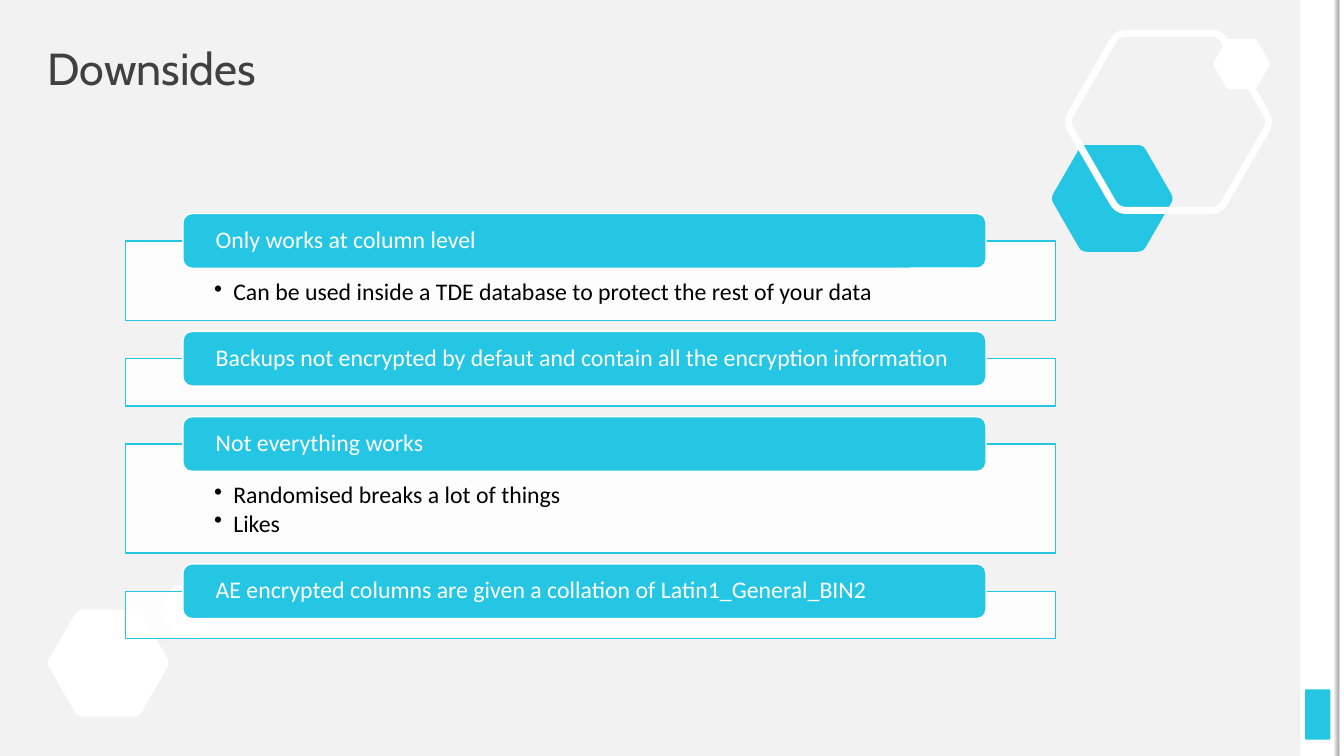
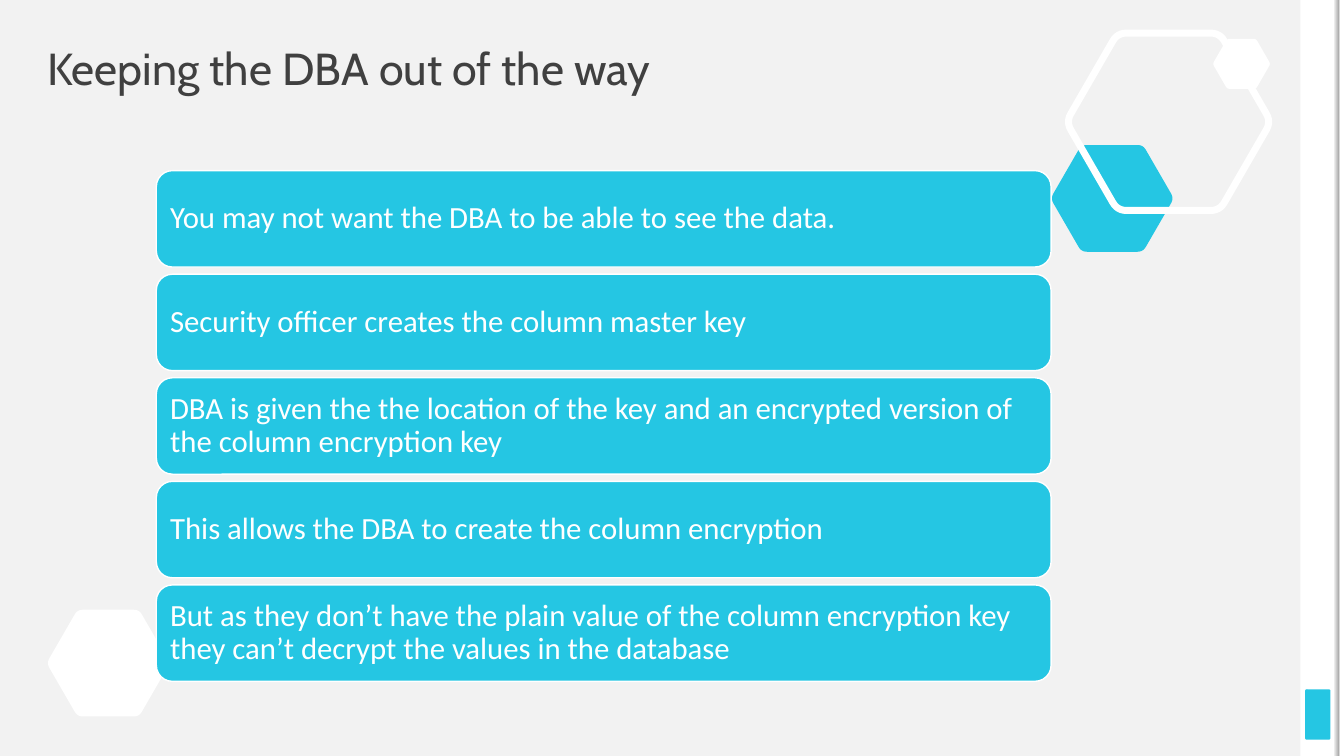
import math
from dataclasses import dataclass

import lxml.etree
import pptx
import pptx.dml.color
import pptx.dml.fill
import pptx.enum.shapes
import pptx.enum.text
import pptx.oxml.ns
import pptx.presentation
import pptx.shapes.autoshape
import pptx.shapes.base
import pptx.slide
import pptx.util

Cm = pptx.util.Cm
Pt = pptx.util.Pt
RECTANGLE = pptx.enum.shapes.MSO_SHAPE.RECTANGLE
ROUNDED = pptx.enum.shapes.MSO_SHAPE.ROUNDED_RECTANGLE
TOP = pptx.enum.text.MSO_ANCHOR.TOP
MIDDLE = pptx.enum.text.MSO_ANCHOR.MIDDLE

SLIDE_WIDTH, SLIDE_HEIGHT = 33.87, 19.05
BACKGROUND, ACCENT, WHITE = "F2F2F2", "25C6E3", "FFFFFF"
TITLE_COLOR, BODY_COLOR, EDGE_SHADE = "404040", "000000", "A6A6A6"
TITLE_FONT, BODY_FONT = "Cabin", "Calibri"


@dataclass(frozen=True)
class Box:
    """A rectangle in centimetres."""
    left: float
    top: float
    width: float
    height: float

    def lengths(self) -> list[pptx.util.Length]:
        return [Cm(value) for value in (self.left, self.top, self.width, self.height)]


@dataclass(frozen=True)
class Hexagon:
    """A flat-topped hexagon, by centre and height in centimetres."""
    center_x: float
    center_y: float
    height: float
    fill: str | None = WHITE
    line: str | None = None


@dataclass(frozen=True)
class Topic:
    heading: str
    height: float
    bullets: tuple[str, ...] = ()


HEXAGONS = (
    Hexagon(2.73, 16.71, 2.69),
    Hexagon(28.03, 5, 2.69, fill=ACCENT),
    Hexagon(29.45, 3.07, 4.47, fill=None, line=WHITE),
    Hexagon(4.75, 15.37, 1.26),
    Hexagon(31.29, 1.61, 1.26),
)

TOPICS = (
    Topic("Only works at column level", 2.01,
          ("Can be used inside a TDE database to protect the rest of your data",)),
    Topic("Backups not encrypted by defaut and contain all the encryption information", 1.19),
    Topic("Not everything works", 2.75, ("Randomised breaks a lot of things", "Likes")),
    Topic("AE encrypted columns are given a collation of Latin1_General_BIN2", 1.19),
)

STATEMENTS = (
    "You may not want the DBA to be able to see the data.",
    "Security officer creates the column master key",
    "DBA is given the the location of the key and an encrypted version of "
    "the column encryption key",
    "This allows the DBA to create the column encryption",
    "But as they don’t have the plain value of the column encryption key "
    "they can’t decrypt the values in the database",
)


def color(value: str) -> pptx.dml.color.RGBColor:
    return pptx.dml.color.RGBColor.from_string(value)


def set_fill(fill: pptx.dml.fill.FillFormat, value: str | None) -> None:
    if value is None:
        fill.background()
    else:
        fill.solid()
        fill.fore_color.rgb = color(value)


def style_shape(shape: pptx.shapes.autoshape.Shape, fill: str | None,
                line: str | None = None, line_width: float = 1) -> None:
    shape.shadow.inherit = False
    set_fill(shape.fill, fill)
    set_fill(shape.line.fill, line)
    if line is not None:
        shape.line.width = Pt(line_width)


def add_box(slide: pptx.slide.Slide, kind: pptx.enum.shapes.MSO_SHAPE, box: Box,
            fill: str, line: str | None = None) -> pptx.shapes.autoshape.Shape:
    shape = slide.shapes.add_shape(kind, *box.lengths())
    style_shape(shape, fill, line)
    return shape


def set_opacity(shape: pptx.shapes.autoshape.Shape, percent: int) -> None:
    fill_color = shape._element.spPr.find(
        f"{pptx.oxml.ns.qn('a:solidFill')}/{pptx.oxml.ns.qn('a:srgbClr')}")
    lxml.etree.SubElement(fill_color, pptx.oxml.ns.qn("a:alpha"), val=str(percent * 1000))


def set_text(shape: pptx.shapes.autoshape.Shape, *lines: str, size: float,
             font: str = BODY_FONT, text_color: str = WHITE,
             anchor: pptx.enum.text.MSO_ANCHOR = MIDDLE,
             margins: tuple[float, float, float, float] = (0, 0, 0, 0),
             space_after: float = 0, bulleted: bool = False) -> None:
    """Fill a shape with one paragraph a line; margins run left, top, right, bottom."""
    frame = shape.text_frame
    frame.word_wrap = True
    frame.vertical_anchor = anchor
    (frame.margin_left, frame.margin_top,
     frame.margin_right, frame.margin_bottom) = map(Cm, margins)
    for index, line in enumerate(lines):
        paragraph = frame.add_paragraph() if index else frame.paragraphs[0]
        paragraph.alignment = pptx.enum.text.PP_ALIGN.LEFT
        paragraph.line_spacing = 0.9
        paragraph.space_after = Pt(space_after)
        if bulleted:
            properties = paragraph._p.get_or_add_pPr()
            properties.set("marL", str(Cm(0.48)))
            properties.set("indent", str(-Cm(0.48)))
            lxml.etree.SubElement(properties, pptx.oxml.ns.qn("a:buChar"), char="•")
        run = paragraph.add_run()
        run.text = line
        run.font.name = font
        run.font.size = Pt(size)
        run.font.color.rgb = color(text_color)


def add_hexagon(slide: pptx.slide.Slide, hexagon: Hexagon) -> None:
    """Draw a hexagon whose corners are rounded with quadratic curves."""
    radius = hexagon.height / math.sqrt(3)
    cut, steps = 0.09, 6
    corners = [(hexagon.center_x + radius * math.cos(math.radians(60 * index)),
                hexagon.center_y + radius * math.sin(math.radians(60 * index)))
               for index in range(6)]
    points = []
    for index, corner in enumerate(corners):
        before, after = corners[index - 1], corners[(index + 1) % 6]
        for step in range(steps + 1):
            t = step / steps
            toward_before, toward_after = cut * (1 - t) ** 2, cut * t ** 2
            points.append(tuple(
                Cm(c + toward_before * (b - c) + toward_after * (a - c))
                for b, c, a in zip(before, corner, after)))
    builder = slide.shapes.build_freeform(*points[0])
    builder.add_line_segments(points[1:], close=True)
    style_shape(builder.convert_to_shape(), hexagon.fill, hexagon.line, line_width=5)


def add_right_band(slide: pptx.slide.Slide) -> None:
    add_box(slide, RECTANGLE, Box(32.77, 0, 0.99, SLIDE_HEIGHT), WHITE)
    marker = add_box(slide, ROUNDED, Box(32.89, 17.37, 0.64, 1.27), ACCENT)
    marker.adjustments[0] = 0.07
    add_box(slide, RECTANGLE, Box(33.74, 0, 0.13, SLIDE_HEIGHT), WHITE)
    edge = add_box(slide, RECTANGLE, Box(33.62, 0, 0.13, SLIDE_HEIGHT), WHITE)
    edge.fill.gradient()
    edge.fill.gradient_angle = 0
    for stop, shade in zip(edge.fill.gradient_stops, (BACKGROUND, EDGE_SHADE)):
        stop.color.rgb = color(shade)


def add_slide(presentation: pptx.presentation.Presentation, title: str) -> pptx.slide.Slide:
    """Add a slide with the shared background, decoration and title."""
    slide = presentation.slides.add_slide(presentation.slide_layouts[6])
    set_fill(slide.background.fill, BACKGROUND)
    add_right_band(slide)
    for hexagon in HEXAGONS:
        add_hexagon(slide, hexagon)
    title_box = slide.shapes.add_textbox(*Box(1.2, 1.2, 31.47, 1.2).lengths())
    set_text(title_box, title, size=32, font=TITLE_FONT, text_color=TITLE_COLOR)
    return slide


def add_topics(slide: pptx.slide.Slide) -> None:
    top, gap, tab_rise = 6.07, 0.96, 0.69
    for topic in TOPICS:
        panel = add_box(slide, RECTANGLE, Box(3.16, top, 23.44, topic.height), WHITE, ACCENT)
        set_opacity(panel, 90)
        if topic.bullets:
            set_text(panel, *topic.bullets, size=17, text_color=BODY_COLOR, anchor=TOP,
                     margins=(2.24, 0.99, 2.24, 0.33), space_after=2, bulleted=True)
        tab = add_box(slide, ROUNDED, Box(4.61, top - tab_rise, 20.24, 1.38), ACCENT, WHITE)
        set_text(tab, topic.heading, size=17, margins=(0.76, 0, 0.76, 0))
        top += topic.height + gap


def add_statements(slide: pptx.slide.Slide) -> None:
    first_top, pitch = 4.3, 2.61
    for index, statement in enumerate(STATEMENTS):
        box = Box(3.94, first_top + index * pitch, 22.55, 2.43)
        panel = add_box(slide, ROUNDED, box, ACCENT, WHITE)
        set_text(panel, statement, size=22, margins=(0.23, 0.23, 0.23, 0.23))


def main() -> None:
    presentation = pptx.Presentation()
    presentation.slide_width = Cm(SLIDE_WIDTH)
    presentation.slide_height = Cm(SLIDE_HEIGHT)
    add_topics(add_slide(presentation, "Downsides"))
    add_statements(add_slide(presentation, "Keeping the DBA out of the way"))
    presentation.save("out.pptx")


if __name__ == "__main__":
    main()
